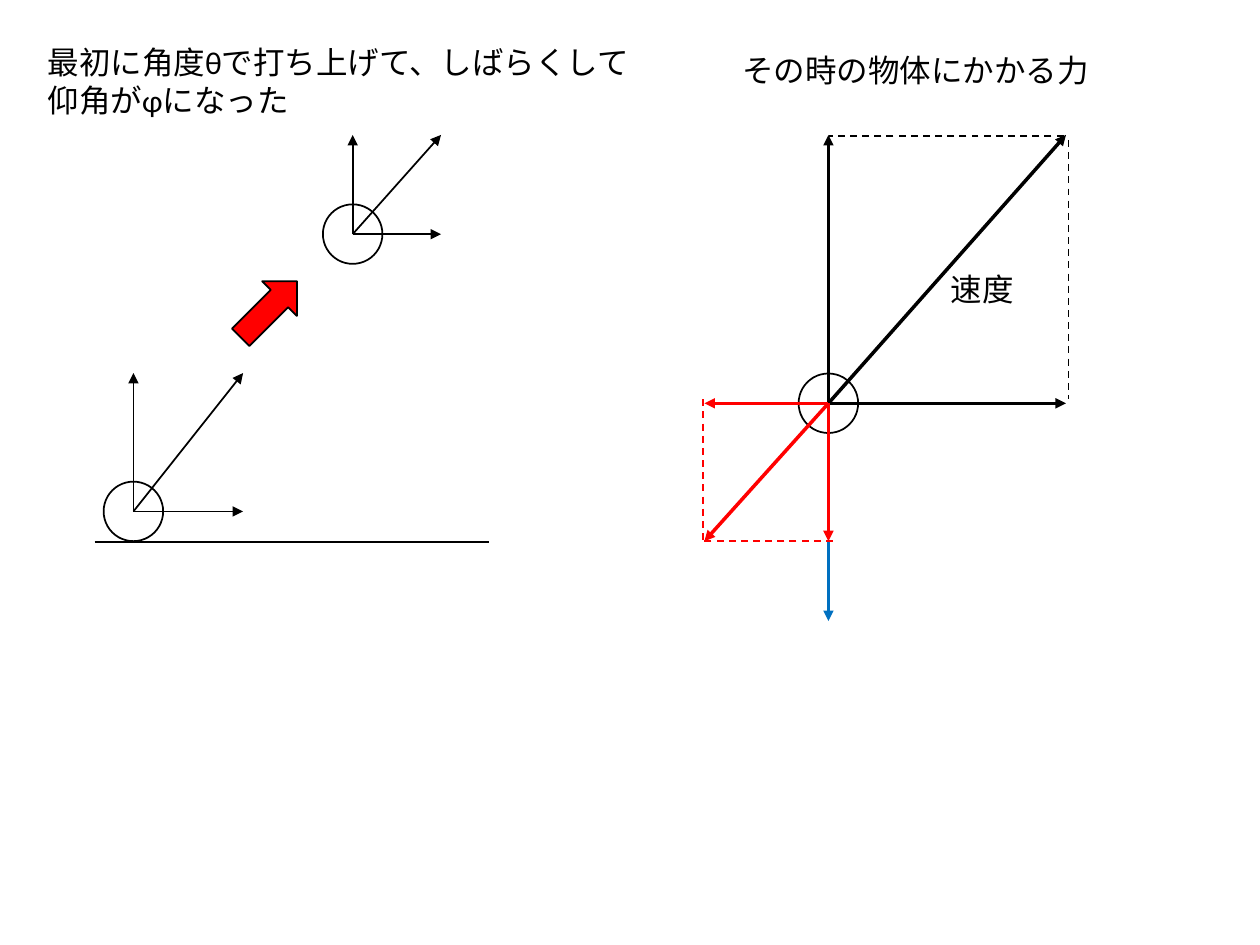
from dataclasses import dataclass

from lxml import etree
from pptx import Presentation
from pptx.dml.color import RGBColor
from pptx.enum.dml import MSO_LINE
from pptx.enum.shapes import MSO_CONNECTOR, MSO_SHAPE
from pptx.enum.text import MSO_AUTO_SIZE
from pptx.oxml.ns import qn
from pptx.util import Cm, Pt

OVAL = MSO_SHAPE.OVAL
ARROW = MSO_SHAPE.RIGHT_ARROW
LINE = MSO_CONNECTOR.STRAIGHT
DASH = MSO_LINE.DASH
FIT = MSO_AUTO_SIZE.SHAPE_TO_FIT_TEXT


@dataclass(frozen=True)
class Theme:
    ink: str = "000000"
    drag: str = "FF0000"
    fall: str = "0070C0"
    font: str = "Calibri"
    size: int = 18
    thin: int = 1
    bold: int = 2


look = Theme()

BALL = 1.2
START, LATER, FOCUS = (2.69, 10.31), (7.11, 4.72), (16.7, 8.13)
BALLS = [START, LATER, FOCUS]

VECTORS = [
    (START, (4.9, 7.52), look.ink, look.thin),
    (LATER, (8.89, 2.72), look.ink, look.thin),
    (FOCUS, (21.49, 2.72), look.ink, look.bold),
    (FOCUS, (14.2, 10.91), look.drag, look.bold),
]
GROUND = ((1.91, 10.92), (9.86, 10.92))
WEIGHT = ((16.7, 10.92), (16.7, 12.52))
GUIDES = [
    ((21.44, 2.74), (16.71, 2.74), look.ink),
    ((21.54, 2.82), (21.54, 8.05), look.ink),
    ((14.17, 8.05), (14.17, 10.9), look.drag),
    ((16.79, 10.9), (14.2, 10.9), look.drag),
]
MOTION = (4.62, 5.74, 1.6, 0.99)
LABELS = [
    ("最初に角度θで打ち上げて、しばらくして仰角がφになった",
     (0.71, 0.74, 12.45, 1.8), True),
    ("速度", (18.92, 5.31, 1.8, 1.02), False),
    ("その時の物体にかかる力", (14.71, 0.91, 7.59, 1.02), True),
]


def draw_line(slide, start, end, color, width, head=False, dash=False):
    line = slide.shapes.add_connector(LINE, *map(Cm, start + end))
    line.line.color.rgb = RGBColor.from_string(color)
    line.line.width = Pt(width)
    if dash:
        line.line.dash_style = DASH
    props = line.element.spPr
    if head:
        etree.SubElement(props.find(qn("a:ln")), qn("a:tailEnd"), type="triangle")
    etree.SubElement(props, qn("a:effectLst"))


def draw_shape(slide, kind, box, fill=None, turn=0):
    shape = slide.shapes.add_shape(kind, *map(Cm, box))
    shape.shadow.inherit = False
    shape.rotation = turn
    if fill:
        shape.fill.solid()
        shape.fill.fore_color.rgb = RGBColor.from_string(fill)
    else:
        shape.fill.background()
    shape.line.color.rgb = RGBColor.from_string(look.ink)
    shape.line.width = Pt(look.thin)


def draw_label(slide, text, box, wrap):
    frame = slide.shapes.add_textbox(*map(Cm, box)).text_frame
    frame.word_wrap = wrap
    frame.auto_size = FIT
    para = frame.paragraphs[0]
    para.text = text
    para.font.name = look.font
    para.font.size = Pt(look.size)
    para.font.color.rgb = RGBColor.from_string(look.ink)


def main():
    deck = Presentation()
    deck.slide_width, deck.slide_height = Cm(25.4), Cm(19.05)
    slide = deck.slides.add_slide(deck.slide_layouts[6])

    draw_line(slide, *GROUND, look.ink, look.thin)
    for x, y in BALLS:
        draw_shape(slide, OVAL, (x - BALL / 2, y - BALL / 2, BALL, BALL))
    for start, tip, color, width in VECTORS:
        for end in ((tip[0], start[1]), (start[0], tip[1]), tip):
            draw_line(slide, start, end, color, width, head=True)
    draw_shape(slide, ARROW, MOTION, look.drag, 315)
    draw_line(slide, *WEIGHT, look.fall, look.bold, head=True)
    for start, end, color in GUIDES:
        draw_line(slide, start, end, color, look.thin, dash=True)
    for label in LABELS:
        draw_label(slide, *label)

    deck.save("out.pptx")


if __name__ == "__main__":
    main()
